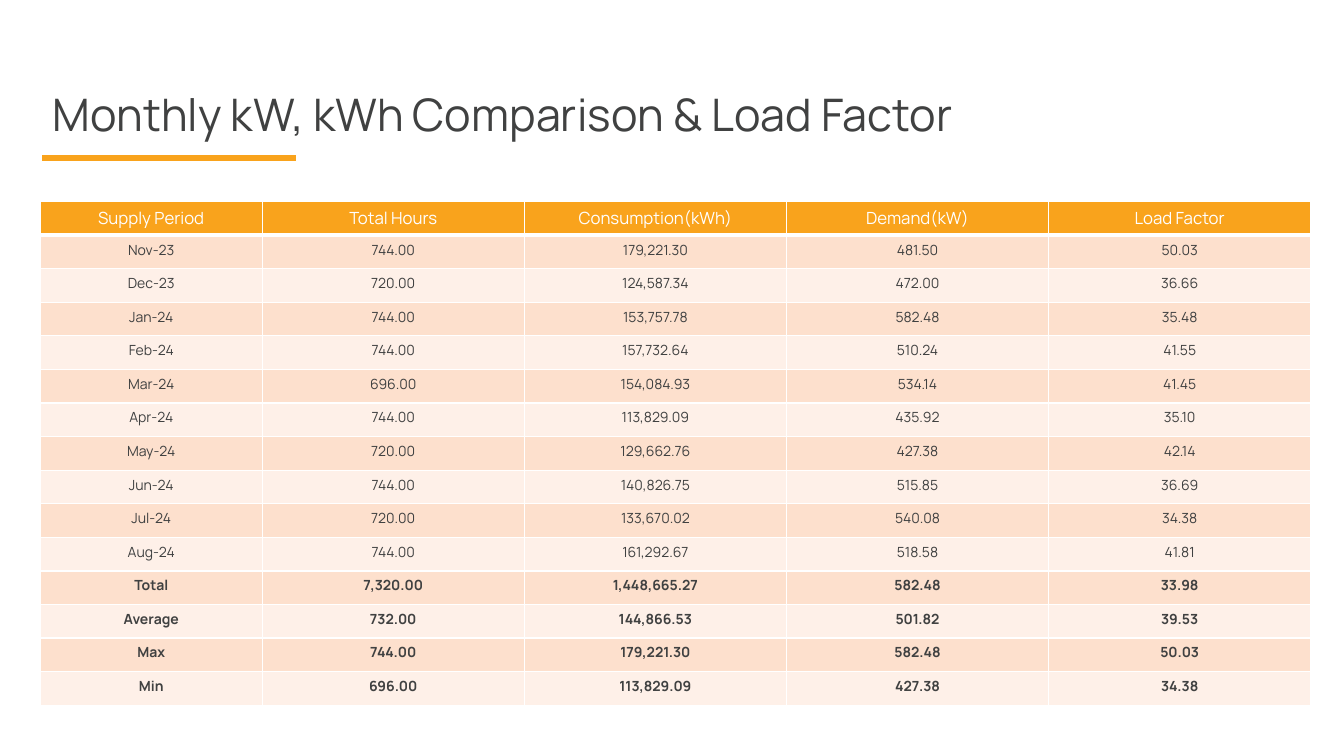
from lxml import etree
from pptx import Presentation
from pptx import util as u
from pptx.dml.color import RGBColor
from pptx.enum import shapes, text
from pptx.oxml import ns

WIDE, HIGH = 13.33, 7.5
LEFT = 0.42
ORANGE, WHITE, INK = "F9A31C", "FFFFFF", "404141"
BANDS = ("FDE0CD", "FEF0E8")
COLS = (2.2, 2.6, 2.6, 2.6, 2.6)
ROW = 5 / 15
SUMS = ("Total", "Average", "Max", "Min")
DATA = """Supply Period|Total Hours|Consumption(kWh)|Demand(kW)|Load Factor
Nov-23|744.00|179,221.30|481.50|50.03
Dec-23|720.00|124,587.34|472.00|36.66
Jan-24|744.00|153,757.78|582.48|35.48
Feb-24|744.00|157,732.64|510.24|41.55
Mar-24|696.00|154,084.93|534.14|41.45
Apr-24|744.00|113,829.09|435.92|35.10
May-24|720.00|129,662.76|427.38|42.14
Jun-24|744.00|140,826.75|515.85|36.69
Jul-24|720.00|133,670.02|540.08|34.38
Aug-24|744.00|161,292.67|518.58|41.81
Total|7,320.00|1,448,665.27|582.48|33.98
Average|732.00|144,866.53|501.82|39.53
Max|744.00|179,221.30|582.48|50.03
Min|696.00|113,829.09|427.38|34.38"""


def hue(code):
    return RGBColor.from_string(code)


def inches(*sizes):
    return [u.Inches(size) for size in sizes]


def style(para, align, color, **form):
    para.alignment = align
    para.font.color.rgb = hue(color)
    for key, value in {"name": "Manrope", "bold": False, **form}.items():
        setattr(para.font, key, value)


def add_title(slide, words):
    title = slide.shapes.title
    title.left, title.top, title.width, title.height = inches(LEFT, 0.74, 12.5, 0.84)
    frame = title.text_frame
    frame.text = words
    frame.auto_size = text.MSO_AUTO_SIZE.NONE
    frame.vertical_anchor = text.MSO_ANCHOR.MIDDLE
    para = frame.paragraphs[0]
    para.line_spacing = 0.9
    style(para, text.PP_ALIGN.LEFT, INK, size=u.Pt(32))


def add_rule(slide):
    rule = slide.shapes.add_connector(
        shapes.MSO_CONNECTOR.STRAIGHT, *inches(LEFT, 1.57, 2.94, 1.57))
    rule.line.color.rgb = hue(ORANGE)
    rule.line.width = u.Pt(4.5)
    etree.SubElement(rule._element.spPr, ns.qn("a:effectLst"))


def edge(cell, base):
    """Draw white cell borders, the bottom one base points wide."""
    props = cell._tc.get_or_add_tcPr()
    for side, width in (("L", 1), ("R", 1), ("T", 1), ("B", base)):
        line = etree.SubElement(props, ns.qn("a:ln" + side), w=str(u.Pt(width)))
        fill = etree.SubElement(line, ns.qn("a:solidFill"))
        etree.SubElement(fill, ns.qn("a:srgbClr"), val=WHITE)


def fill_cell(cell, words, back, color, size, bold, base):
    edge(cell, base)
    cell.fill.solid()
    cell.fill.fore_color.rgb = hue(back)
    cell.text = words
    style(cell.text_frame.paragraphs[0], text.PP_ALIGN.CENTER, color,
          size=u.Pt(size), bold=bold)


def add_grid(slide, rows):
    box = inches(0.4, 2, sum(COLS), ROW * len(rows))
    table = slide.shapes.add_table(len(rows), len(COLS), *box).table
    for col, width in zip(table.columns, COLS):
        col.width = u.Inches(width)
    for i, row in enumerate(rows):
        table.rows[i].height = u.Inches(ROW)
        if i == 0:
            look = (ORANGE, WHITE, 12, False, 3)
        else:
            look = (BANDS[(i - 1) % 2], INK, 10, row[0] in SUMS, 1)
        for j, words in enumerate(row):
            fill_cell(table.cell(i, j), words, *look)


def main():
    deck = Presentation()
    deck.slide_width, deck.slide_height = inches(WIDE, HIGH)
    slide = deck.slides.add_slide(deck.slide_layouts.get_by_name("Title Only"))
    add_rule(slide)
    add_title(slide, "Monthly kW, kWh Comparison & Load Factor")
    add_grid(slide, [row.split("|") for row in DATA.splitlines()])
    deck.save("out.pptx")


if __name__ == "__main__":
    main()
